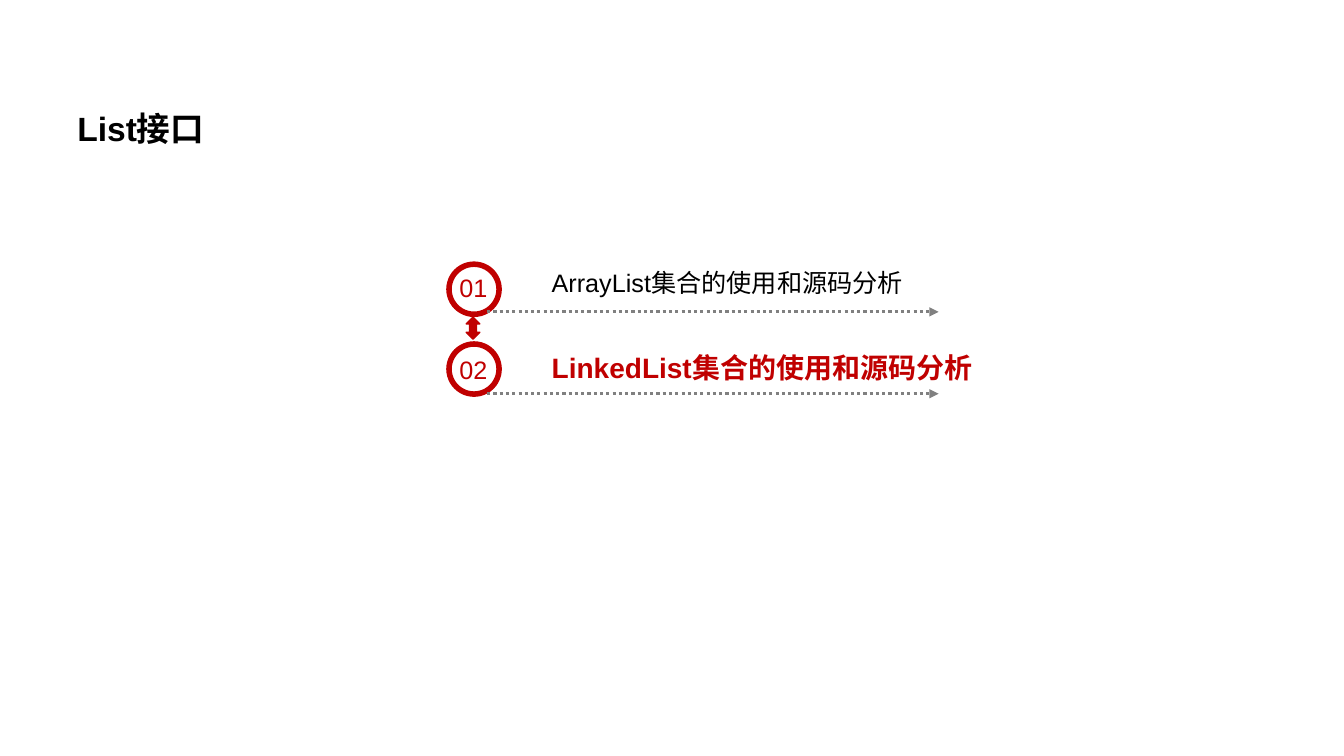
from lxml.etree import SubElement
from pptx import Presentation
from pptx.dml.color import RGBColor
from pptx.enum.dml import MSO_LINE
from pptx.enum.shapes import MSO_CONNECTOR, MSO_SHAPE
from pptx.enum.text import MSO_ANCHOR, MSO_AUTO_SIZE, PP_ALIGN
from pptx.oxml.ns import qn
from pptx.util import Pt

COLORS = {"black": "000000", "red": "C00000", "gray": "808080"}


class Deck:
    """Draw styled elements on one slide, with lengths in px."""

    PX = 9525
    FONT = "Arial"

    def __init__(self, width, height):
        self.prs = Presentation()
        self.prs.slide_width, self.prs.slide_height = self.emu(width, height)
        self.slide = self.prs.slides.add_slide(self.prs.slide_layouts[5])

    def emu(self, *lengths):
        return [n * self.PX for n in lengths]

    def color(self, name):
        return RGBColor.from_string(COLORS[name])

    def style_text(self, sp, text, size, color, bold=False, wrap=True):
        tf = sp.text_frame
        tf.text = text
        tf.word_wrap = wrap
        tf.auto_size = MSO_AUTO_SIZE.NONE
        tf.vertical_anchor = MSO_ANCHOR.TOP
        p = tf.paragraphs[0]
        p.alignment = PP_ALIGN.LEFT
        font = p.runs[0].font
        font.name, font.size, font.bold = self.FONT, Pt(size), bold
        font.color.rgb = self.color(color)
        return p

    def title(self, text, x, y, w, h, size):
        sp = self.slide.shapes.title
        sp.left, sp.top, sp.width, sp.height = self.emu(x, y, w, h)
        self.style_text(sp, text, size, "black", bold=True).line_spacing = 1.5

    def text(self, text, x, y, w, h, size, color, bold=False, wrap=True):
        sp = self.slide.shapes.add_textbox(*self.emu(x, y, w, h))
        self.style_text(sp, text, size, color, bold, wrap)

    def shape(self, kind, x, y, w, h, color, line_width=0):
        sp = self.slide.shapes.add_shape(kind, *self.emu(x, y, w, h))
        sp.shadow.inherit = False
        sp.fill.solid()
        sp.fill.fore_color.rgb = self.color(color)
        if line_width:
            sp.line.color.rgb = self.color(color)
            sp.line.width = Pt(line_width)
        else:
            sp.line.fill.background()
        return sp

    def ring(self, x, y, size, color):
        self.shape(MSO_SHAPE.DONUT, x, y, size, size, color).adjustments[0] = 0.1

    def dotted_arrow(self, x1, x2, y, color):
        sp = self.slide.shapes.add_connector(
            MSO_CONNECTOR.STRAIGHT, *self.emu(x1, y, x2, y))
        sp.line.color.rgb = self.color(color)
        sp.line.width = Pt(2.25)
        sp.line.dash_style = MSO_LINE.ROUND_DOT
        props = sp._element.spPr
        SubElement(props.find(qn("a:ln")), qn("a:tailEnd"), type="triangle")
        SubElement(props, qn("a:effectLst"))


def main():
    deck = Deck(1280, 720)
    deck.title("List接口", 64, 79, 1127, 107, 24)
    topics = [
        ("ArrayList集合的使用和源码分析", 250, 380, 38, 18, "black", False),
        ("LinkedList集合的使用和源码分析", 329, 430, 42, 20, "red", True),
    ]
    for i, (topic, y, w, h, size, color, bold) in enumerate(topics):
        deck.ring(425, 249 + 76 * i, 53, "red")
        deck.text(f"{i + 1:02}", 428, 255 + 78 * i, 46, 38, 18, "red", wrap=False)
        deck.dotted_arrow(464, 894, 297 + 78 * i, "gray")
        deck.text(topic, 516, y, w, h, size, color, bold)
    deck.shape(MSO_SHAPE.UP_DOWN_ARROW, 444, 302, 13, 21, "red", 1)
    deck.prs.save("out.pptx")


if __name__ == "__main__":
    main()
